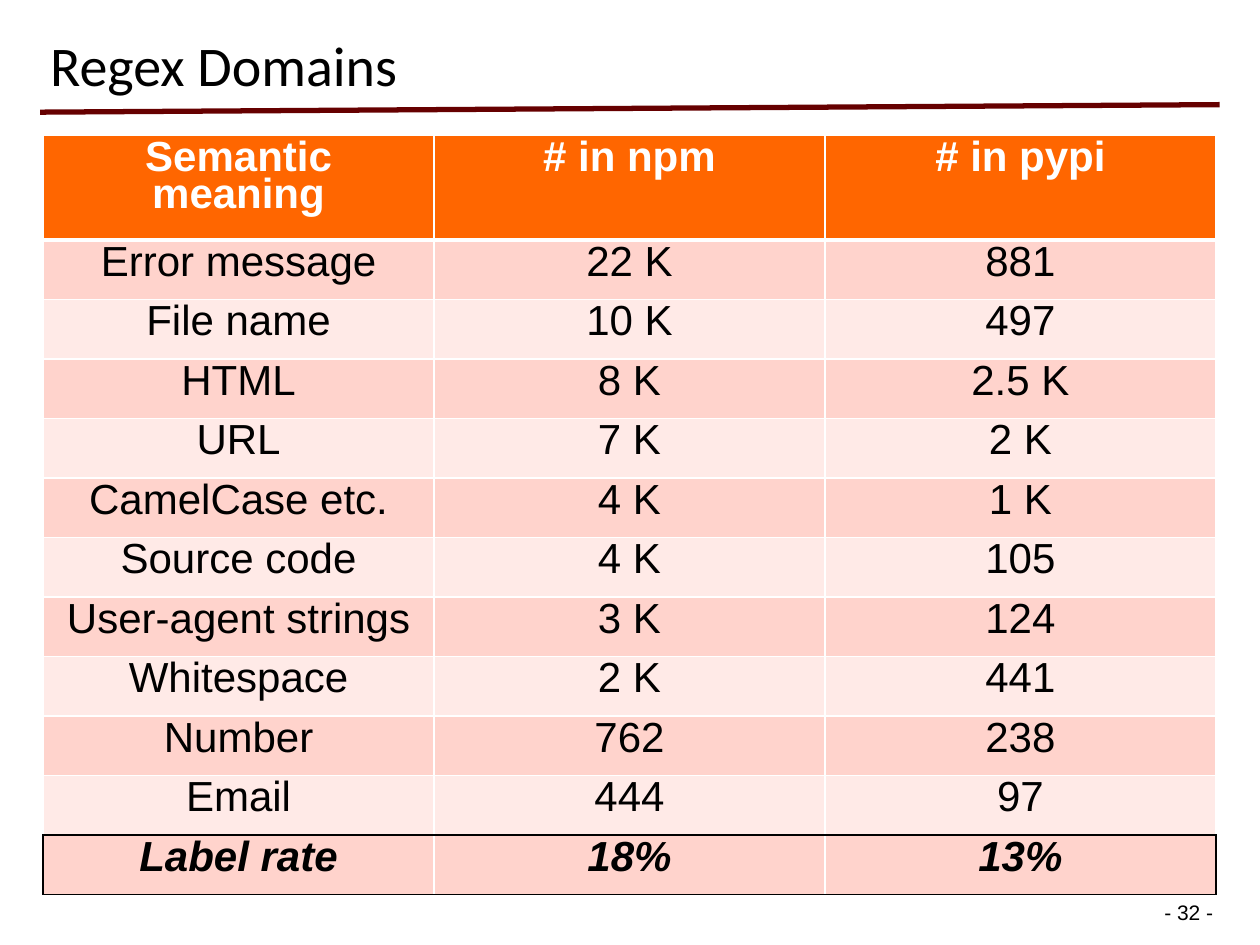
from dataclasses import dataclass

from lxml.etree import SubElement as Sub
from pptx import Presentation
from pptx.dml.color import RGBColor as Rgb
from pptx.enum.shapes import MSO_CONNECTOR as Conn
from pptx.enum.text import MSO_ANCHOR as Anchor, PP_ALIGN as Align
from pptx.oxml.ns import qn
from pptx.util import Pt

HUES = {
    "ink": "000000",
    "paper": "FFFFFF",
    "rule": "660000",
    "head": "FF6600",
    "odd": "FFD3CC",
    "even": "FFEAE7",
}

ROWS = [
    ("Semantic meaning", "# in npm", "# in pypi"),
    ("Error message", "22 K", "881"),
    ("File name", "10 K", "497"),
    ("HTML", "8 K", "2.5 K"),
    ("URL", "7 K", "2 K"),
    ("CamelCase etc.", "4 K", "1 K"),
    ("Source code", "4 K", "105"),
    ("User-agent strings", "3 K", "124"),
    ("Whitespace", "2 K", "441"),
    ("Number", "762", "238"),
    ("Email", "444", "97"),
    ("Label rate", "18%", "13%"),
]
LAST, END = len(ROWS) - 1, len(ROWS[0]) - 1
COL_W, HEAD_H, ROW_H = 223.4, 60, 34


@dataclass
class Label:
    text: str
    box: tuple
    face: str
    size: float
    frame: dict
    para: dict


LABELS = [
    Label("- 32 -", (661.7, 512.6, 37.4, 17.3), "Arial", 12,
          {"word_wrap": False, "margin_left": Pt(3.6), "margin_right": Pt(3.6),
           "margin_top": Pt(1.4), "margin_bottom": Pt(1.4)}, {}),
    Label("Regex Domains", (21.6, 9.4, 633.6, 50.4), "Calibri", 32,
          {"word_wrap": True, "vertical_anchor": Anchor.BOTTOM},
          {"line_spacing": 0.9}),
]


def apply(item, look: dict) -> None:
    for key, val in look.items():
        setattr(item, key, val)


def style(run, hue: str, **look) -> None:
    apply(run.font, look)
    run.font.color.rgb = Rgb.from_string(HUES[hue])


def add_label(slide, label: Label) -> None:
    frame = slide.shapes.add_textbox(*map(Pt, label.box)).text_frame
    apply(frame, label.frame)
    para = frame.paragraphs[0]
    apply(para, label.para)
    run = para.add_run()
    run.text = label.text
    style(run, "ink", name=label.face, size=Pt(label.size))


def add_rule(slide) -> None:
    ends = map(Pt, (23, 64.1, 697, 59.8))
    line = slide.shapes.add_connector(Conn.STRAIGHT, *ends)
    line.line.color.rgb = Rgb.from_string(HUES["rule"])
    line.line.width = Pt(3)
    Sub(line._element.spPr, qn("a:effectLst"))


def edges(row: int, col: int) -> dict:
    """Give each side's hue and width; the last row is boxed in ink."""
    last = row == LAST
    return {
        "L": ("ink" if last and col == 0 else "paper", 1),
        "R": ("ink" if last and col == END else "paper", 1),
        "T": ("ink" if last else "paper", 3 if row == 1 else 1),
        "B": ("ink" if row >= LAST - 1 else "paper", 3 if row == 0 else 1),
    }


def add_edges(cell, sides: dict) -> None:
    props = cell._tc.get_or_add_tcPr()
    for side, (hue, width) in sides.items():
        line = Sub(props, qn(f"a:ln{side}"), w=str(Pt(width)))
        fill = Sub(line, qn("a:solidFill"))
        Sub(fill, qn("a:srgbClr"), val=HUES[hue])


def fill_cell(cell, text: str, row: int, col: int) -> None:
    add_edges(cell, edges(row, col))
    cell.fill.solid()
    band = "head" if row == 0 else "odd" if row % 2 else "even"
    cell.fill.fore_color.rgb = Rgb.from_string(HUES[band])
    para = cell.text_frame.paragraphs[0]
    apply(para, {"alignment": Align.CENTER, "line_spacing": 0.8,
                 "space_before": Pt(4.8)})
    run = para.add_run()
    run.text = text
    style(run, "ink" if row else "paper", name="Arial", size=Pt(24),
          bold=row in (0, LAST), italic=row == LAST)


def add_grid(slide) -> None:
    box = (24.6, 77.2, COL_W * (END + 1), HEAD_H + ROW_H * LAST)
    grid = slide.shapes.add_table(LAST + 1, END + 1, *map(Pt, box)).table
    for col in grid.columns:
        col.width = Pt(COL_W)
    for row, texts in enumerate(ROWS):
        grid.rows[row].height = Pt(ROW_H if row else HEAD_H)
        for col, text in enumerate(texts):
            fill_cell(grid.cell(row, col), text, row, col)


def main() -> None:
    deck = Presentation()
    apply(deck, {"slide_width": Pt(720), "slide_height": Pt(540)})
    slide = deck.slides.add_slide(deck.slide_layouts[6])
    page, title = LABELS
    add_label(slide, page)
    add_rule(slide)
    add_label(slide, title)
    add_grid(slide)
    deck.save("out.pptx")


if __name__ == "__main__":
    main()
